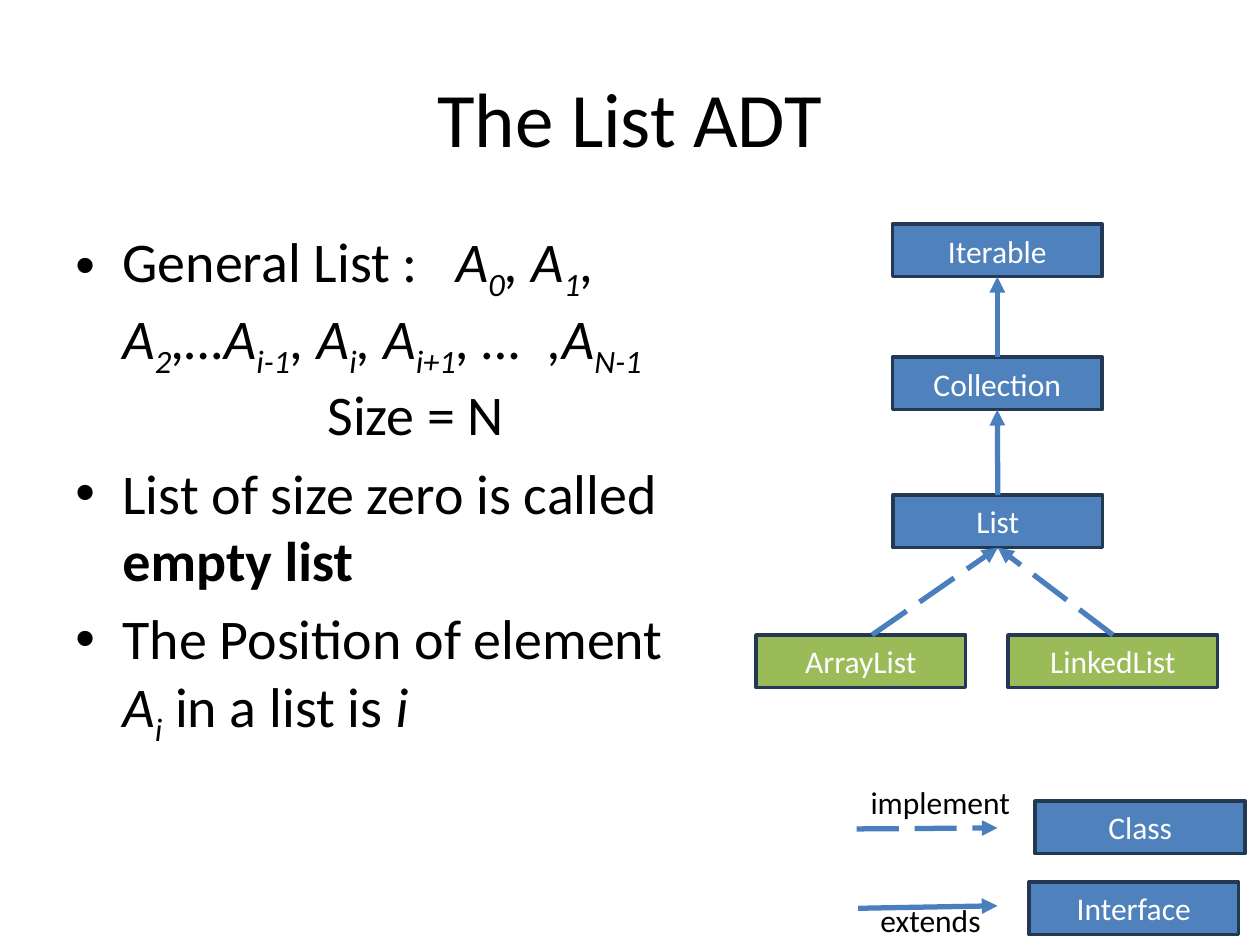
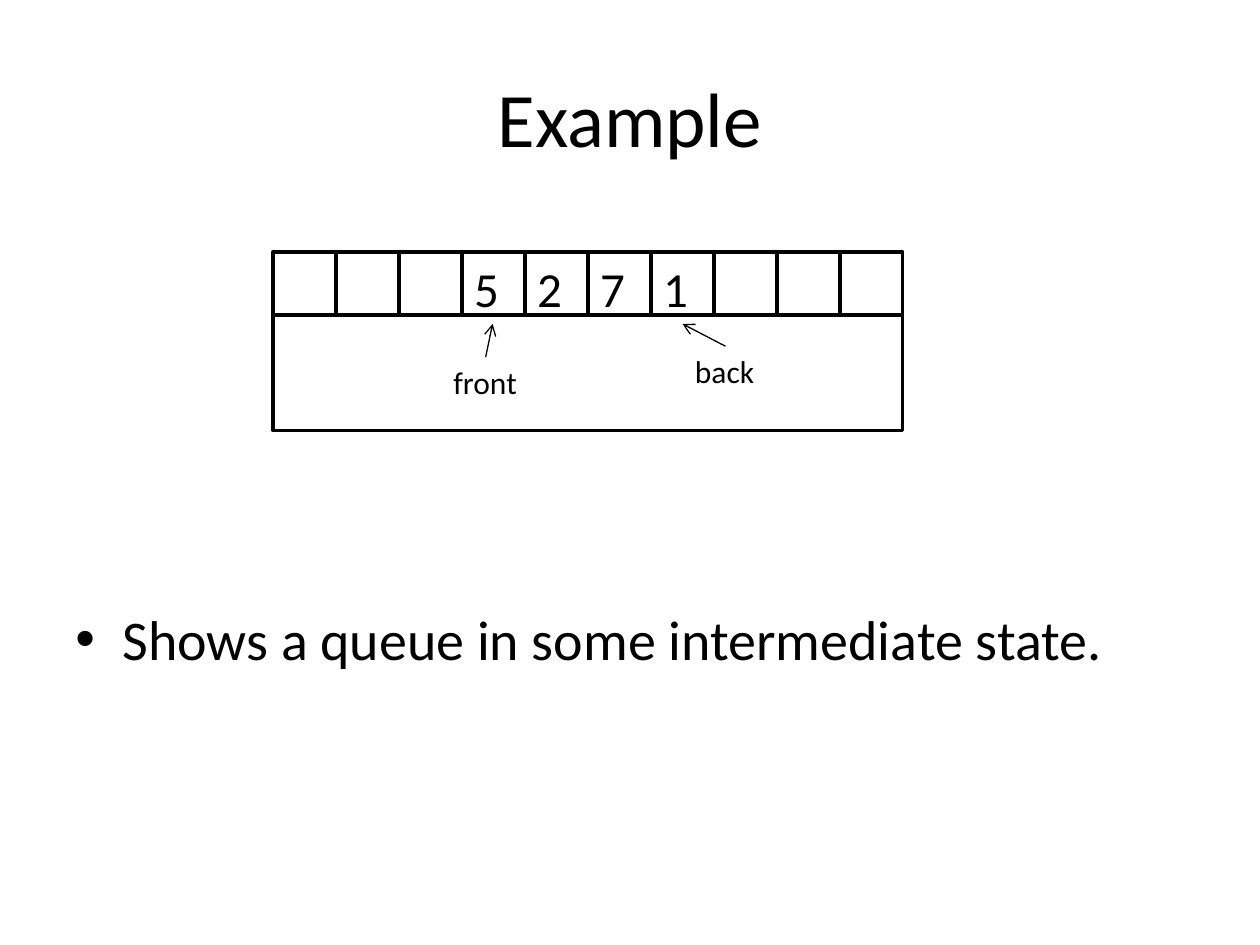
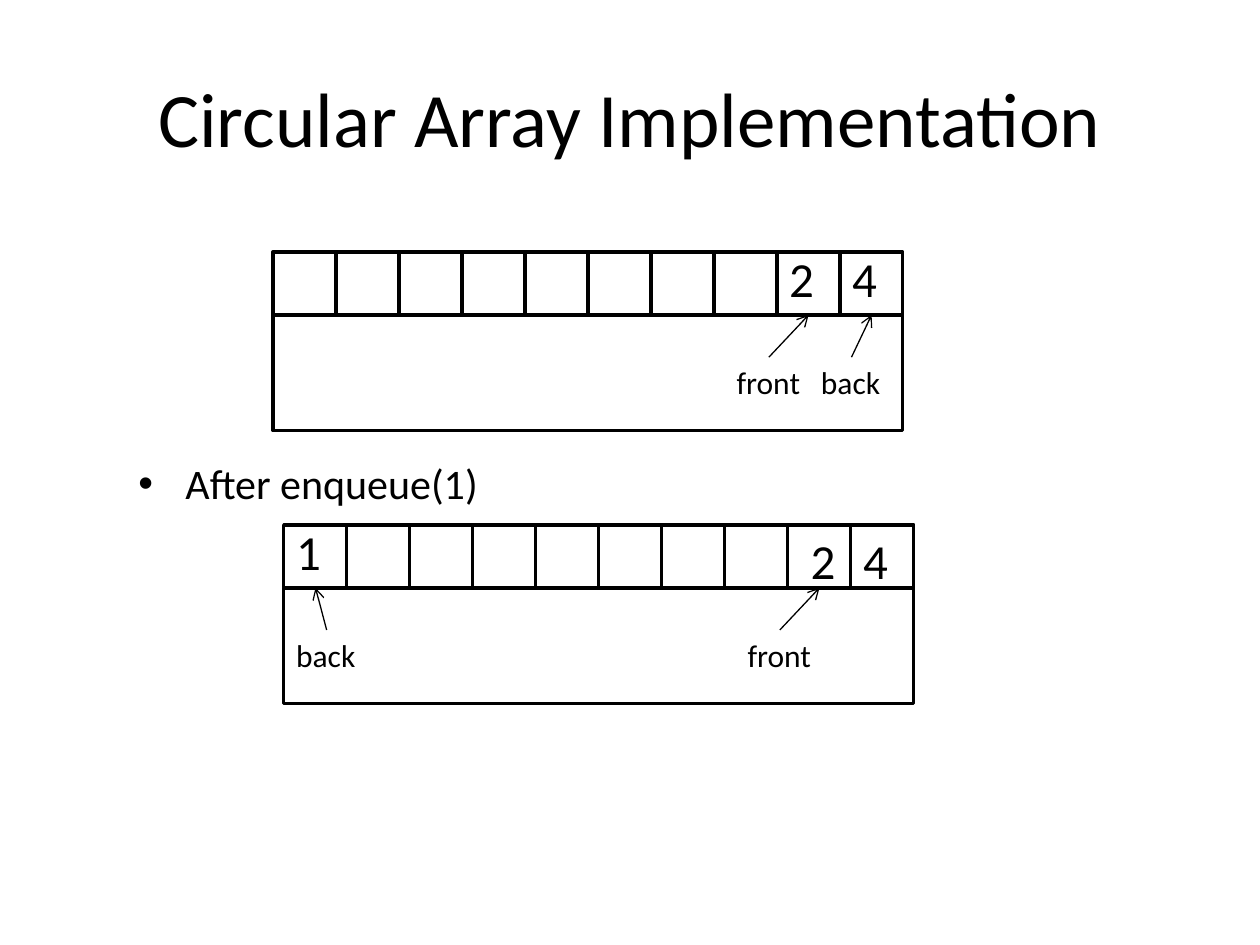
from lxml import etree
from pptx import Presentation, util as u
from pptx.dml.color import RGBColor
from pptx.enum import dml, shapes, text
from pptx.oxml.ns import qn

BLACK, WHITE = "000000", "FFFFFF"
BLUE, GREEN, NAVY, ARROW_BLUE = "4F81BD", "9BBB59", "233953", "4B7EBC"
FONT = "Calibri"
CELL, CELLS, FRAME_H = 1.27, 10, 2.33
BOX_W, BOX_H = 4.23, 1.06
LABEL_H = 1.02
ITALIC, SUB, BOLD = {"italic": True}, {"italic": True, "sub": True}, {"bold": True}


def rgb(value):
    return RGBColor.from_string(value)


def add_xml(parent, tag, **attrs):
    return etree.SubElement(parent, qn(tag), attrs)


class Deck:
    def __init__(self):
        self.prs = Presentation()
        self.prs.slide_width, self.prs.slide_height = u.Cm(25.4), u.Cm(19.05)

    def slide(self, title):
        self.s = self.prs.slides.add_slide(self.prs.slide_layouts[5])
        self.shapes = self.s.shapes
        sp = self.s.shapes.title
        sp.left, sp.top, sp.width, sp.height = map(u.Cm, (1.27, 0.76, 22.86, 3.18))
        tf = sp.text_frame
        tf.vertical_anchor = text.MSO_ANCHOR.MIDDLE
        p = tf.paragraphs[0]
        p.alignment = text.PP_ALIGN.CENTER
        self.run(p, title, 44)

    def run(self, p, words, size, color=BLACK, sub=False, **style):
        r = p.add_run()
        r.text = words
        for name, value in {"name": FONT, "size": u.Pt(size), **style}.items():
            setattr(r.font, name, value)
        r.font.color.rgb = rgb(color)
        if sub:
            r.font._element.set("baseline", "-25000")

    def body(self, x, y, w, h, paragraphs, size=32, tabs=()):
        tf = self.shapes.add_textbox(*map(u.Cm, (x, y, w, h))).text_frame
        tf.word_wrap = True
        for i, runs in enumerate(paragraphs):
            p = tf.paragraphs[0] if i == 0 else tf.add_paragraph()
            pPr = p._p.get_or_add_pPr()
            pPr.set("marL", str(u.Cm(0.95)))
            pPr.set("indent", str(u.Cm(-0.95)))
            add_xml(pPr, "a:buFont", typeface="Arial")
            add_xml(pPr, "a:buChar", char="•")
            if tabs:
                stops = add_xml(pPr, "a:tabLst")
                for pos in tabs:
                    add_xml(stops, "a:tab", pos=str(u.Cm(pos)), algn="l")
            p.space_before = u.Pt(size * 0.2 if i else 0)
            for words, style in runs:
                if words == "\n":
                    p.add_line_break()
                else:
                    self.run(p, words, size, **style)

    def label(self, words, x, y, w, h=LABEL_H, size=18, wrap=False):
        sp = self.shapes.add_textbox(*map(u.Cm, (x, y, w, h)))
        tf = sp.text_frame
        tf.word_wrap = wrap
        tf.auto_size = text.MSO_AUTO_SIZE.SHAPE_TO_FIT_TEXT
        self.run(tf.paragraphs[0], words, size)
        return sp

    def rect(self, x, y, w, h, fill=None, line=BLACK, words=None):
        sp = self.shapes.add_shape(shapes.MSO_SHAPE.RECTANGLE, *map(u.Cm, (x, y, w, h)))
        sp.shadow.inherit = False
        if fill:
            sp.fill.solid()
            sp.fill.fore_color.rgb = rgb(fill)
        else:
            sp.fill.background()
        sp.line.color.rgb, sp.line.width = rgb(line), u.Pt(2)
        if words:
            tf = sp.text_frame
            tf.vertical_anchor = text.MSO_ANCHOR.MIDDLE
            tf.paragraphs[0].alignment = text.PP_ALIGN.CENTER
            self.run(tf.paragraphs[0], words, 18, WHITE)
        return sp

    def type_box(self, words, x, y, fill=BLUE):
        return self.rect(x, y, BOX_W, BOX_H, fill, NAVY, words)

    def arrow(self, start=(0, 0), end=(0, 0), source=None, target=None,
              color=ARROW_BLUE, width=3, head="triangle", dashed=False):
        cx = self.shapes.add_connector(shapes.MSO_CONNECTOR.STRAIGHT,
                                       *map(u.Cm, (*start, *end)))
        if source:
            cx.begin_connect(source, 0)
        if target:
            cx.end_connect(target, 2)
        cx.line.color.rgb, cx.line.width = rgb(color), u.Pt(width)
        if dashed:
            cx.line.dash_style = dml.MSO_LINE.LONG_DASH
        add_xml(cx.line._get_or_add_ln(), "a:tailEnd", type=head)
        add_xml(cx._element.spPr, "a:effectLst")

    def queue(self, x, y, digits, pointers):
        self.shapes = self.s.shapes.add_group_shape().shapes
        for i in range(CELLS):
            self.rect(x + i * CELL, y, CELL, CELL)
        self.rect(x, y + CELL, CELLS * CELL, FRAME_H)
        for digit, i, dx, dy in digits:
            self.label(digit, x + i * CELL + dx, y + dy, CELL, 1.45, 28, True)
        for words, w, dx, dy, tip_x, tip_y in pointers:
            sp = self.label(words, x + dx, y + dy, w)
            self.arrow(end=(x + tip_x, y + tip_y), source=sp,
                       color=BLACK, width=0.75, head="arrow")
        self.shapes = self.s.shapes


def list_slide(d):
    d.slide("The List ADT")
    d.body(1.27, 4.45, 13.13, 12.57, [
        [("General List :\t", {}), ("A", ITALIC), ("0", SUB), (", A", ITALIC), ("1", SUB),
         (", A", ITALIC), ("2", SUB), (",…A", ITALIC), ("i-1", SUB), (", A", ITALIC),
         ("i", SUB), (", A", ITALIC), ("i+1", SUB), (", …\t,A", ITALIC), ("N-1", SUB),
         ("\n", {}), ("\tSize = N", {})],
        [("List of size zero is called ", {}), ("empty list", BOLD)],
        [("The Position of element ", {}), ("A", ITALIC), ("i", SUB),
         (" in a list is ", {}), ("i", ITALIC)],
    ], tabs=(5.08, 7.67, 9.52))
    iterable = d.type_box("Iterable", 17.99, 4.52)
    collection = d.type_box("Collection", 17.99, 7.2)
    list_box = d.type_box("List", 18, 9.98)
    d.type_box("ArrayList", 15.24, 12.8, GREEN)
    linked_list = d.type_box("LinkedList", 20.32, 12.8, GREEN)
    d.arrow(source=collection, target=iterable)
    d.arrow(source=list_box, target=collection)
    d.arrow(start=(17.58, 12.8), target=list_box, dashed=True)
    d.arrow(source=linked_list, target=list_box, dashed=True)
    d.type_box("Interface", 20.74, 17.78)
    d.type_box("Class", 20.87, 16.15)
    d.arrow((17.27, 16.71), (20.11, 16.69), dashed=True)
    d.arrow((17.3, 18.31), (20.11, 18.26))
    d.label("extends", 17.5, 18.03, 2.57)
    d.label("implement", 17.3, 15.67, 3.35)


def example_slide(d):
    d.slide("Example")
    d.body(1.27, 12.07, 22.86, 4.95, [[("Shows a queue in some intermediate state.", {})]])
    d.queue(5.5, 5.08, [(digit, i, 0, 0) for i, digit in enumerate("5271", 3)],
            [("front", 1.8, 3.39, 2.12, 4.43, 1.45), ("back", 1.73, 8.26, 1.9, 8.26, 1.45)])


def circular_slide(d):
    d.slide("Circular Array Implementation")
    d.body(2.54, 9.1, 22.86, 0.95, [[("After enqueue(1)", {})]], size=24)
    front = ("front", 1.8, 9.1, 2.12, 10.8, 1.27)
    d.queue(5.5, 5.08, [("2", 8, 0, -0.2), ("4", 9, 0, -0.2)],
            [front, ("back", 1.73, 10.8, 2.12, 12.07, 1.27)])
    d.queue(5.72, 10.58, [("1", 0, 0, -0.2), ("2", 8, 0.21, 0), ("4", 9, 0, 0)],
            [front, ("back", 1.73, 0, 2.12, 0.64, 1.27)])


def main():
    d = Deck()
    for build in (list_slide, example_slide, circular_slide):
        build(d)
    d.prs.save("out.pptx")


if __name__ == "__main__":
    main()
